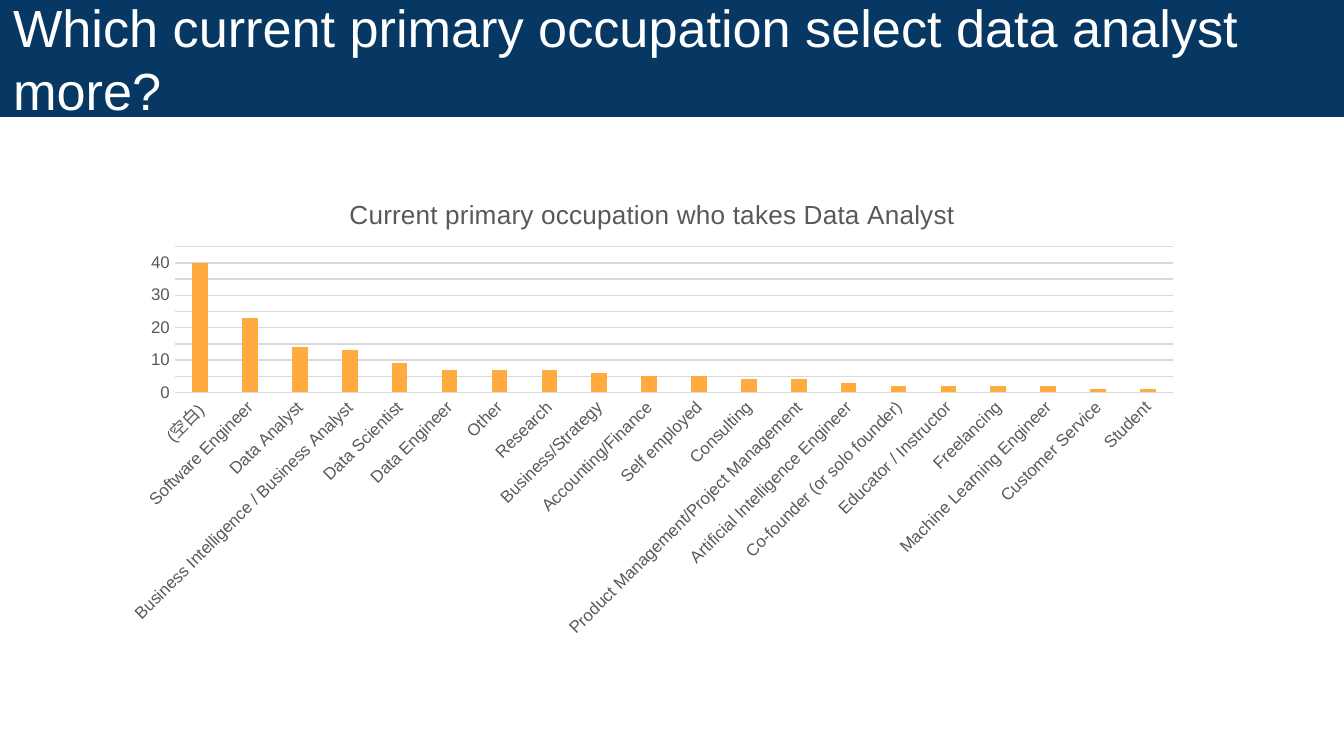
from dataclasses import dataclass

from lxml.etree import SubElement
from pptx import Presentation
from pptx.chart.data import CategoryChartData
from pptx.dml.color import RGBColor
from pptx.enum.chart import XL_CHART_TYPE, XL_TICK_MARK
from pptx.enum.shapes import MSO_SHAPE
from pptx.enum.text import MSO_ANCHOR, PP_ALIGN
from pptx.oxml.ns import qn
from pptx.util import Cm, Pt

HEADING = "Which current primary occupation select data analyst more?"
CHART_TITLE = "Current primary occupation who takes Data Analyst"
OCCUPATIONS = [
    ("(空白)", 40),
    ("Software Engineer", 23),
    ("Data Analyst", 14),
    ("Business Intelligence / Business Analyst", 13),
    ("Data Scientist", 9),
    ("Data Engineer", 7),
    ("Other", 7),
    ("Research", 7),
    ("Business/Strategy", 6),
    ("Accounting/Finance", 5),
    ("Self employed", 5),
    ("Consulting", 4),
    ("Product Management/Project Management", 4),
    ("Artificial Intelligence Engineer", 3),
    ("Co-founder (or solo founder)", 2),
    ("Educator / Instructor", 2),
    ("Freelancing", 2),
    ("Machine Learning Engineer", 2),
    ("Customer Service", 1),
    ("Student", 1),
]
PLOT_AREA = {"x": 0.06, "y": 0.15, "w": 0.92, "h": 0.31}


@dataclass(frozen=True)
class Theme:
    font: str = "Arial"
    banner: RGBColor = RGBColor(0x07, 0x37, 0x63)
    heading: RGBColor = RGBColor(0xFF, 0xFF, 0xFF)
    label: RGBColor = RGBColor(0x59, 0x59, 0x59)
    grid: RGBColor = RGBColor(0xD9, 0xD9, 0xD9)
    bar: RGBColor = RGBColor(0xFF, 0xAB, 0x40)
    heading_size: Pt = Pt(28)
    title_size: Pt = Pt(14)
    label_size: Pt = Pt(9)
    line_width: Pt = Pt(0.75)


THEME = Theme()


def style_font(font, size, color):
    font.name = THEME.font
    font.size = size
    font.bold = False
    font.color.rgb = color


def style_line(line):
    line.color.rgb = THEME.grid
    line.width = THEME.line_width


def place_plot_area(chart):
    """Fix the inner plot area as fractions of the chart frame."""
    plot_area = chart._chartSpace.chart.plotArea
    for old_layout in plot_area.findall(qn("c:layout")):
        plot_area.remove(old_layout)
    layout = plot_area.makeelement(qn("c:layout"), {})
    plot_area.insert(0, layout)
    manual = SubElement(layout, qn("c:manualLayout"))
    settings = {"layoutTarget": "inner", "xMode": "edge", "yMode": "edge", **PLOT_AREA}
    for name, value in settings.items():
        SubElement(manual, qn(f"c:{name}")).set("val", str(value))


def add_banner(page, width):
    banner = page.shapes.add_shape(MSO_SHAPE.RECTANGLE, 0, 0, width, Cm(2.21))
    banner.shadow.inherit = False
    banner.fill.solid()
    banner.fill.fore_color.rgb = THEME.banner
    banner.line.fill.background()
    frame = banner.text_frame
    frame.word_wrap = True
    frame.vertical_anchor = MSO_ANCHOR.MIDDLE
    frame.margin_left = frame.margin_right = Cm(0.25)
    frame.margin_top = frame.margin_bottom = Cm(0.25)
    frame.text = HEADING
    paragraph = frame.paragraphs[0]
    paragraph.alignment = PP_ALIGN.LEFT
    style_font(paragraph.runs[0].font, THEME.heading_size, THEME.heading)


def add_occupation_chart(page):
    categories, counts = zip(*OCCUPATIONS)
    data = CategoryChartData()
    data.categories = categories
    data.add_series("Series 1", counts)
    chart = page.shapes.add_chart(
        XL_CHART_TYPE.COLUMN_CLUSTERED, Cm(2.08), Cm(3.33), Cm(20.5), Cm(8.89), data
    ).chart
    chart.has_legend = False
    chart.font.name = THEME.font
    chart.has_title = True
    title = chart.chart_title
    title.include_in_layout = False
    title.text_frame.text = CHART_TITLE
    title_span = title.text_frame.paragraphs[0].runs[0]
    style_font(title_span.font, THEME.title_size, THEME.label)

    plot = chart.plots[0]
    plot.gap_width = 219
    plot.overlap = -27
    plot.vary_by_categories = False
    bars = plot.series[0].format.fill
    bars.solid()
    bars.fore_color.rgb = THEME.bar

    for axis in (chart.category_axis, chart.value_axis):
        axis.major_tick_mark = axis.minor_tick_mark = XL_TICK_MARK.NONE
        style_font(axis.tick_labels.font, THEME.label_size, THEME.label)
    style_line(chart.category_axis.format.line)
    label_body = chart.category_axis._element.find(qn("c:txPr")).find(qn("a:bodyPr"))
    label_body.set("rot", str(-45 * 60000))

    counts_axis = chart.value_axis
    counts_axis.minimum_scale = 0
    counts_axis.maximum_scale = 45
    counts_axis.major_unit = 5
    counts_axis.format.line.fill.background()
    counts_axis.has_major_gridlines = True
    style_line(counts_axis.major_gridlines.format.line)
    place_plot_area(chart)


def main():
    deck = Presentation()
    deck.slide_width, deck.slide_height = Cm(25.4), Cm(14.29)
    page = deck.slides.add_slide(deck.slide_layouts[6])
    add_occupation_chart(page)
    add_banner(page, deck.slide_width)
    deck.save("out.pptx")


if __name__ == "__main__":
    main()
